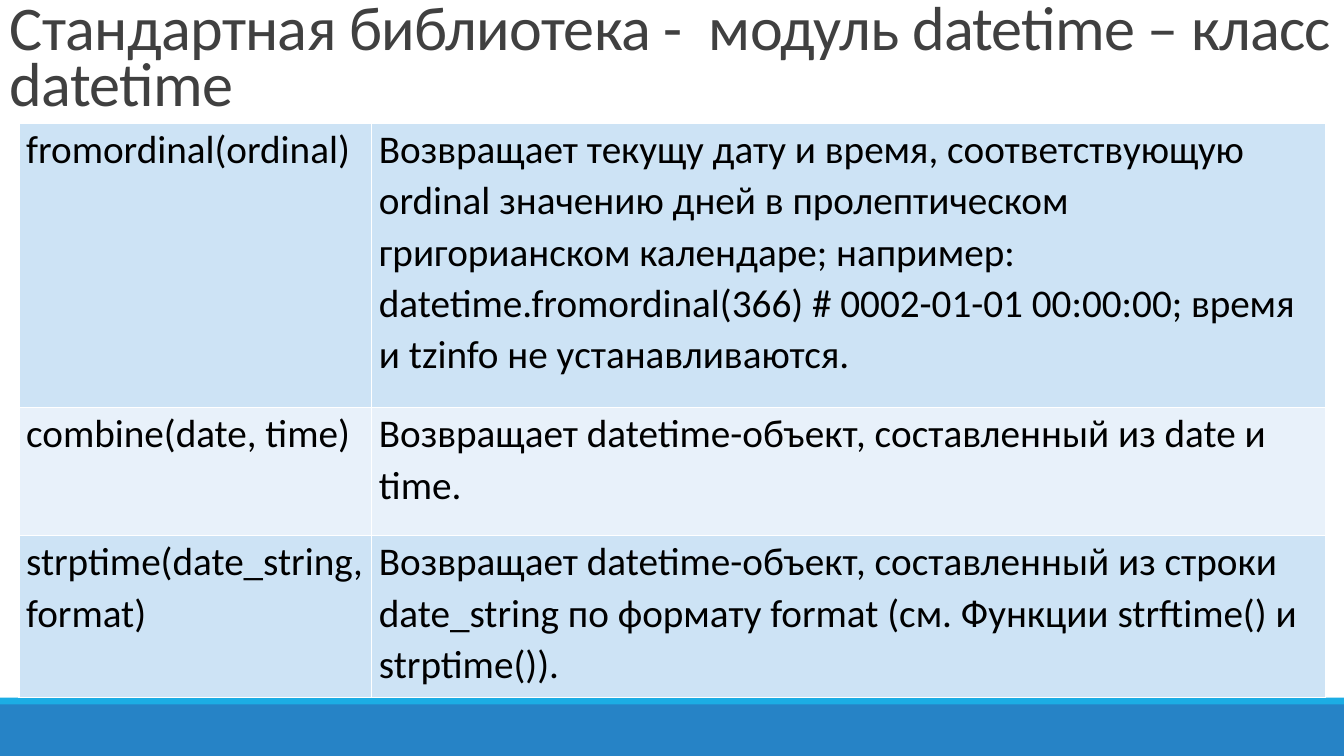
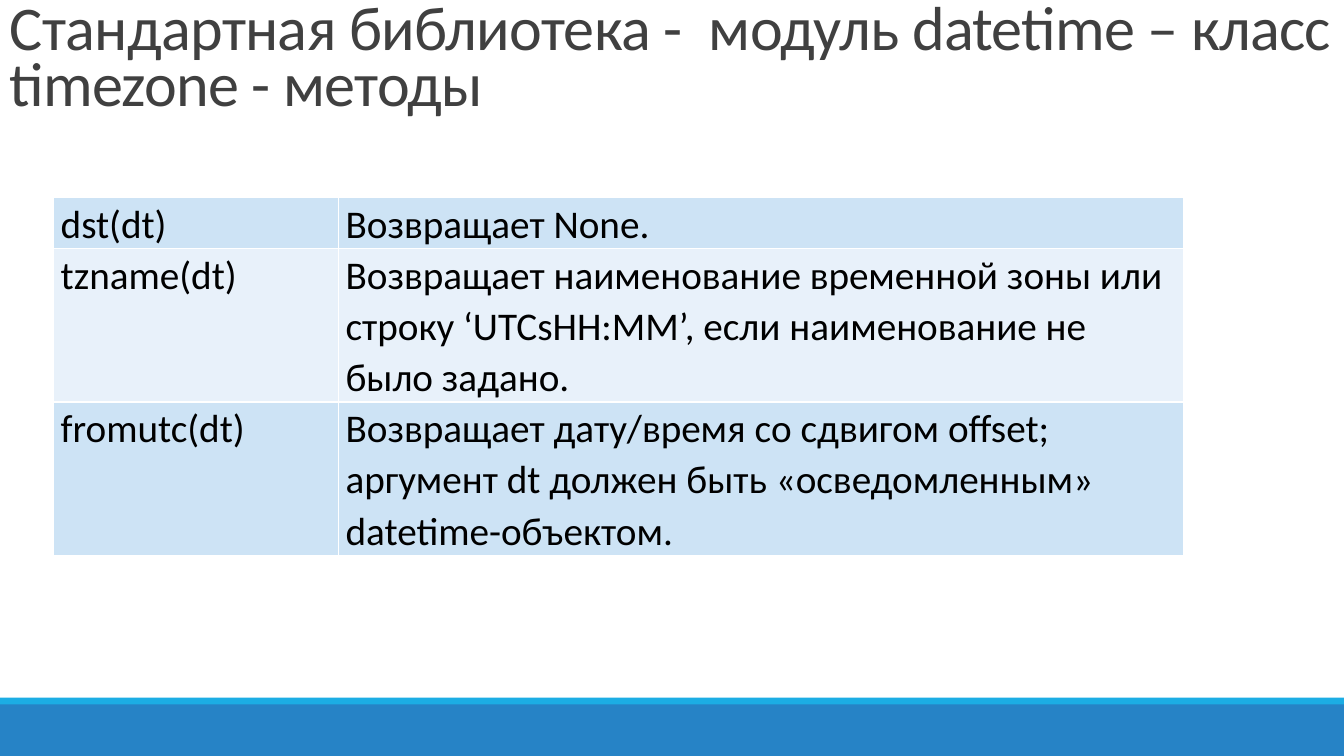
from lxml import etree
from pptx import Presentation
from pptx import util as u
from pptx.dml import color
from pptx.enum import shapes, text
from pptx.oxml import ns

COLORS = {
    "band": "2683C6",
    "stripe": "1CADE4",
    "title": "404040",
    "body": "000000",
    "border": "FFFFFF",
    "odd_row": "CDE3F5",
    "even_row": "E8F1FA",
}
FONT = "Calibri"
SLIDE_WIDTH, SLIDE_HEIGHT = 33.87, 19.05
TITLE_BOX = (0, 0, SLIDE_WIDTH, 3.1)
BAND_BOX = (0, 17.6, SLIDE_WIDTH, 1.45)
STRIPE_HEIGHT = 0.17

SLIDES = [
    {
        "title": "Стандартная библиотека -  модуль datetime – класс datetime",
        "origin": (0.48, 3.1),
        "columns": (8.89, 24.03),
        "rows": (7.16, 3.23, 4.09),
        "cells": [
            ("fromordinal(ordinal)",
             "Возвращает текущу дату и время, соответствующую ordinal значению дней "
             "в пролептическом григорианском календаре; например: "
             "datetime.fromordinal(366) # 0002-01-01 00:00:00; время и tzinfo "
             "не устанавливаются."),
            ("combine(date, time)",
             "Возвращает datetime-объект, составленный из date и time."),
            ("strptime(date_string, format)",
             "Возвращает datetime-объект, составленный из строки date_string "
             "по формату format (см. Функции strftime() и strptime())."),
        ],
    },
    {
        "title": "Стандартная библиотека -  модуль datetime – класс timezone - методы",
        "origin": (1.35, 4.98),
        "columns": (7.18, 21.3),
        "rows": (1.28, 3.87, 3.87),
        "cells": [
            ("dst(dt)", "Возвращает None."),
            ("tzname(dt)",
             "Возвращает наименование временной зоны или строку ‘UTCsHH:MM’, "
             "если наименование не было задано."),
            ("fromutc(dt)",
             "Возвращает дату/время со сдвигом offset; аргумент dt должен быть "
             "«осведомленным» datetime-объектом."),
        ],
    },
]


def rgb(name):
    return color.RGBColor.from_string(COLORS[name])


def style_paragraph(paragraph, size, color_name, line_spacing):
    paragraph.line_spacing = line_spacing
    paragraph.font.name = FONT
    paragraph.font.size = u.Pt(size)
    paragraph.font.color.rgb = rgb(color_name)


def add_bar(slide, box, color_name):
    bar = slide.shapes.add_shape(shapes.MSO_SHAPE.RECTANGLE, *map(u.Cm, box))
    bar.shadow.inherit = False
    bar.fill.solid()
    bar.fill.fore_color.rgb = rgb(color_name)
    bar.line.fill.background()


def add_footer(slide, box):
    left, top, width, height = box
    add_bar(slide, box, "band")
    add_bar(slide, (left, top + STRIPE_HEIGHT - 0.17 - STRIPE_HEIGHT + 0.17 - 0.02,
                    width, STRIPE_HEIGHT), "stripe")
    add_bar(slide, (left, top + STRIPE_HEIGHT, width, height - STRIPE_HEIGHT), "band")


def add_title(slide, box, wording):
    frame = slide.shapes.add_textbox(*map(u.Cm, box)).text_frame
    frame.word_wrap = True
    frame.vertical_anchor = text.MSO_ANCHOR.BOTTOM
    paragraph = frame.paragraphs[0]
    run = paragraph.add_run()
    run.text = wording
    run._r.get_or_add_rPr().set("spc", "-50")
    style_paragraph(paragraph, 44.4, "title", 0.75)


def add_borders(cell):
    properties = cell._tc.get_or_add_tcPr()
    for side in ("lnL", "lnR", "lnT", "lnB"):
        line = etree.SubElement(properties, ns.qn(f"a:{side}"), w=str(u.Pt(1)))
        fill = etree.SubElement(line, ns.qn("a:solidFill"))
        etree.SubElement(fill, ns.qn("a:srgbClr"), val=COLORS["border"])


def fill_cell(cell, wording, color_name):
    cell.margin_left = cell.margin_right = u.Cm(0.18)
    cell.margin_top = cell.margin_bottom = 0
    add_borders(cell)
    cell.fill.solid()
    cell.fill.fore_color.rgb = rgb(color_name)
    cell.text = wording
    style_paragraph(cell.text_frame.paragraphs[0], 28, "body", 1.07)


def add_method_table(slide, origin, columns, rows, cells):
    box = (*origin, sum(columns), sum(rows))
    table = slide.shapes.add_table(len(rows), len(columns), *map(u.Cm, box)).table
    table.first_row = table.horz_banding = False
    for column, width in zip(table.columns, columns):
        column.width = u.Cm(width)
    for index, (row, height, wordings) in enumerate(zip(table.rows, rows, cells)):
        row.height = u.Cm(height)
        for cell, wording in zip(row.cells, wordings):
            fill_cell(cell, wording, "even_row" if index % 2 else "odd_row")


def add_method_slide(presentation, content):
    slide = presentation.slides.add_slide(presentation.slide_layouts[6])
    add_footer(slide, BAND_BOX)
    add_title(slide, TITLE_BOX, content["title"])
    add_method_table(slide, content["origin"], content["columns"],
                     content["rows"], content["cells"])


def main():
    presentation = Presentation()
    presentation.slide_width = u.Cm(SLIDE_WIDTH)
    presentation.slide_height = u.Cm(SLIDE_HEIGHT)
    for content in SLIDES:
        add_method_slide(presentation, content)
    presentation.save("out.pptx")


if __name__ == "__main__":
    main()
